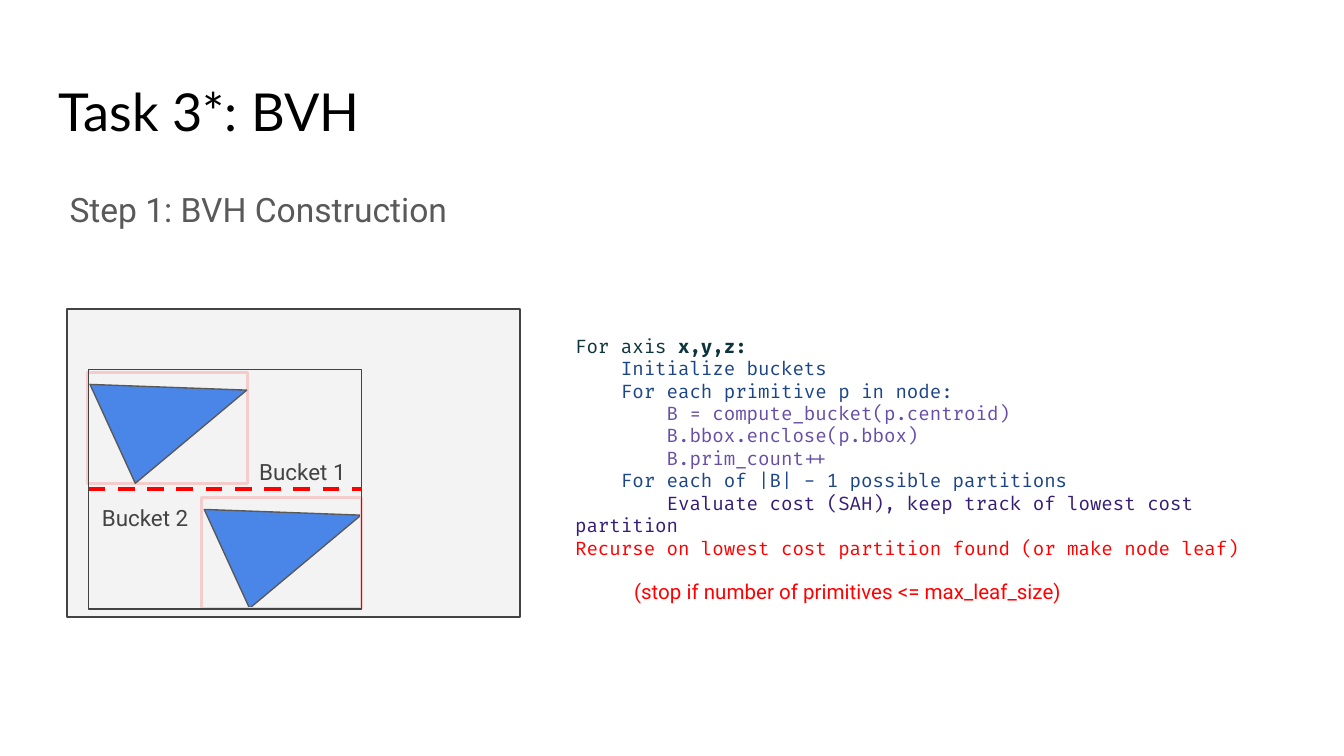
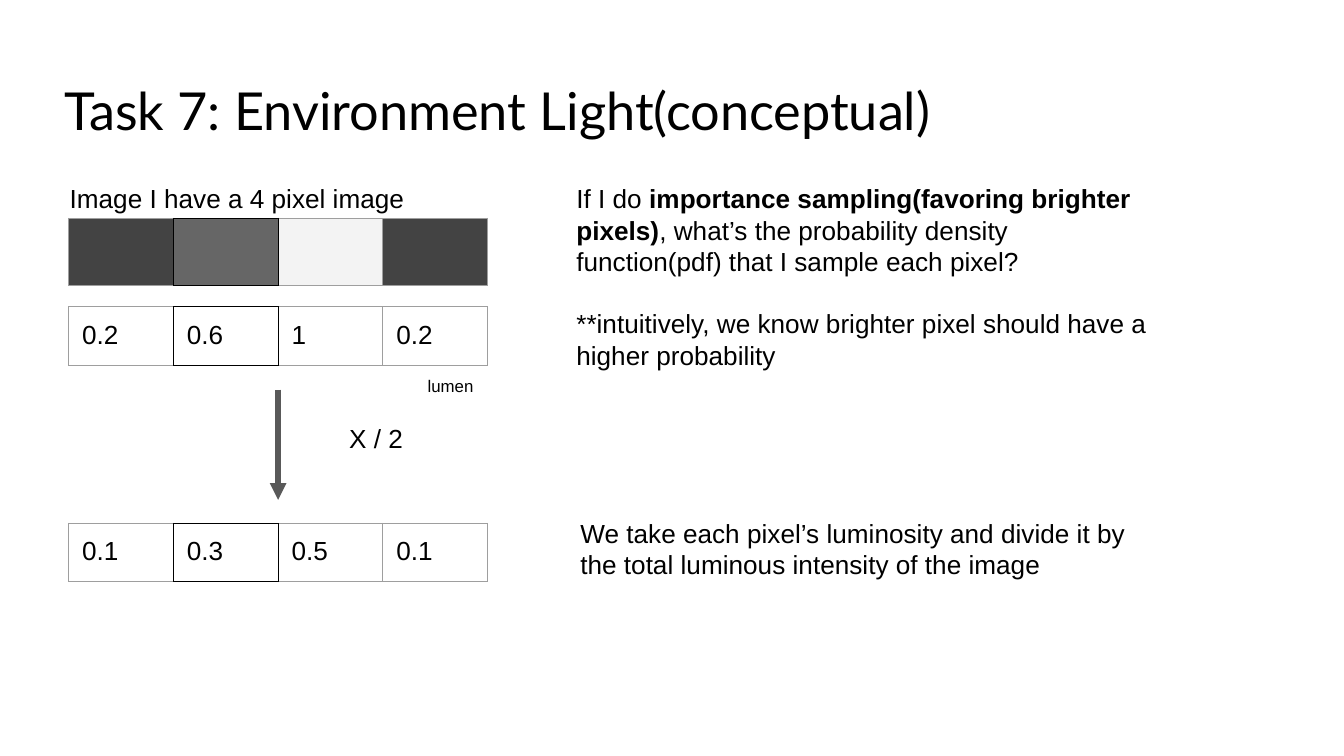
from lxml.etree import SubElement
from pptx import Presentation
from pptx.dml.color import RGBColor
from pptx.enum.dml import MSO_LINE_DASH_STYLE as DASH
from pptx.enum.shapes import MSO_CONNECTOR as CONNECTOR, MSO_SHAPE as SHAPE
from pptx.enum.text import PP_ALIGN as ALIGN
from pptx.oxml import parse_xml
from pptx.oxml.ns import nsdecls, qn
from pptx.util import Pt

BLACK = RGBColor(0, 0, 0)
WHITE = RGBColor(0xFF, 0xFF, 0xFF)
RED = RGBColor(0xFF, 0, 0)
PINK = RGBColor(0xF4, 0xCC, 0xCC)
CHARCOAL = RGBColor(0x43, 0x43, 0x43)
GRAY = RGBColor(0x59, 0x59, 0x59)
MID_GRAY = RGBColor(0x66, 0x66, 0x66)
GRID_GRAY = RGBColor(0x9E, 0x9E, 0x9E)
PALE_GRAY = RGBColor(0xF3, 0xF3, 0xF3)
SKY_BLUE = RGBColor(0x4A, 0x86, 0xE8)
TEAL = RGBColor(0x0C, 0x34, 0x3D)
NAVY = RGBColor(0x1C, 0x45, 0x87)
PURPLE = RGBColor(0x67, 0x4E, 0xA7)
INDIGO = RGBColor(0x35, 0x1C, 0x75)

TITLE_FONT, BODY_FONT, CODE_FONT, PLAIN_FONT = "Lato", "Roboto", "Fira Code", "Arial"
INSET = Pt(7.2)
COLUMN_WIDTH = 56.1
MARKED_COLUMN = 1

CODE = [
    (TEAL, ["For axis ", ("x,y,z:",)]),
    (NAVY, ["    Initialize buckets"]),
    (NAVY, ["    For each primitive p in node:"]),
    (PURPLE, ["        B = compute_bucket(p.centroid)"]),
    (PURPLE, ["        B.bbox.enclose(p.bbox)"]),
    (PURPLE, ["        B.prim_count++"]),
    (NAVY, ["    For each of |B| - 1 possible partitions"]),
    (INDIGO, ["        Evaluate cost (SAH), keep track of lowest cost partition"]),
    (RED, ["Recurse on lowest cost partition found (or make node leaf)"]),
]
QUESTION = [
    (BLACK, ["If I do ", ("importance sampling(favoring brighter pixels)",),
             ", what’s the probability density function(pdf) that I sample each pixel?"]),
    (BLACK, ["**intuitively, we know brighter pixel should have a higher probability"]),
]


def add_paragraphs(slide, box, paragraphs, size, font=PLAIN_FONT, gap=0, spacing=None, align=None):
    """Add a text box of (color, runs) paragraphs, where a run in a tuple is bold."""
    frame = slide.shapes.add_textbox(*map(Pt, box)).text_frame
    frame.word_wrap = True
    frame.margin_left = frame.margin_top = frame.margin_right = frame.margin_bottom = INSET
    for index, (color, runs) in enumerate(paragraphs):
        paragraph = frame.add_paragraph() if index else frame.paragraphs[0]
        if index and gap:
            paragraph.space_before = Pt(gap)
        paragraph.line_spacing = spacing
        paragraph.alignment = align
        style_paragraph(paragraph, size, font, color)
        for part in runs:
            run = paragraph.add_run()
            if isinstance(part, tuple):
                run.text, run.font.bold = part[0], True
            else:
                run.text = part


def style_paragraph(paragraph, size, font, color):
    """Set the font of a whole paragraph."""
    paragraph.font.size = Pt(size)
    paragraph.font.name = font
    paragraph.font.color.rgb = color


def add_text(slide, box, text, size, color=BLACK, **style):
    """Add a text box holding one plain paragraph."""
    add_paragraphs(slide, box, [(color, [text])], size, **style)


def add_title(slide, left, top, text):
    """Add the slide title."""
    add_text(slide, (left, top, 671, 45), text, 28, font=TITLE_FONT)


def add_outlined(slide, kind, box, line, width=0.75, fill=None):
    """Add a preset shape with an outline and an optional fill."""
    shape = slide.shapes.add_shape(kind, *map(Pt, box))
    shape.shadow.inherit = False
    shape.line.color.rgb = line
    shape.line.width = Pt(width)
    if fill is None:
        shape.fill.background()
    else:
        shape.fill.solid()
        shape.fill.fore_color.rgb = fill
    return shape


def add_triangle(slide, left, top):
    """Add one tilted primitive."""
    triangle = add_outlined(slide, SHAPE.ISOSCELES_TRIANGLE, (left, top, 77.8, 56.2), GRAY, fill=SKY_BLUE)
    triangle.adjustments[0] = 0.198
    triangle.rotation = 320.1


def add_line(slide, start, end, color, width):
    """Add a straight connector without a shadow."""
    line = slide.shapes.add_connector(CONNECTOR.STRAIGHT, *map(Pt, start + end))
    line.line.color.rgb = color
    line.line.width = Pt(width)
    SubElement(line._element.spPr, qn("a:effectLst"))
    return line


def set_borders(cell, colors):
    """Set the left, right, top and bottom borders of a cell."""
    properties = cell._tc.get_or_add_tcPr()
    for index, (side, color) in enumerate(zip("LRTB", colors)):
        border = parse_xml(
            f'<a:ln{side} {nsdecls("a")} w="{Pt(0.75)}"><a:solidFill>'
            f'<a:srgbClr val="{color}"/></a:solidFill></a:ln{side}>')
        properties.insert(index, border)


def add_pixel_row(slide, top, height, fills, values=("",) * 4):
    """Add a one-row table of pixels, with the marked column outlined in black."""
    count = len(fills)
    frame = slide.shapes.add_table(1, count, Pt(36.8), Pt(top), Pt(COLUMN_WIDTH * count), Pt(height))
    table = frame.table
    table.first_row = table.horz_banding = False
    for column, (fill, value) in enumerate(zip(fills, values)):
        table.columns[column].width = Pt(COLUMN_WIDTH)
        cell = table.cell(0, column)
        cell.margin_left = cell.margin_top = cell.margin_right = cell.margin_bottom = INSET
        cell.fill.solid()
        cell.fill.fore_color.rgb = fill
        marked = column == MARKED_COLUMN
        black_edges = (marked or column == MARKED_COLUMN + 1,
                       marked or column == MARKED_COLUMN - 1, marked, marked)
        set_borders(cell, [BLACK if black else GRID_GRAY for black in black_edges])
        if value:
            cell.text = value
            style_paragraph(cell.text_frame.paragraphs[0], 14, PLAIN_FONT, BLACK)


def build_bvh_slide(slide):
    """Build the slide on BVH construction."""
    add_title(slide, 24.5, 35.3, "Task 3*: BVH")
    add_paragraphs(slide, (301, 172, 404.6, 132), CODE, 10, font=CODE_FONT)
    add_outlined(slide, SHAPE.RECTANGLE, (36, 165.6, 242.6, 164.9), CHARCOAL, fill=PALE_GRAY)
    add_outlined(slide, SHAPE.RECTANGLE, (46.8, 199.4, 85.7, 59.8), PINK, 1.5)
    add_triangle(slide, 45.4, 184.3)
    add_triangle(slide, 106.6, 251.3)
    add_outlined(slide, SHAPE.RECTANGLE, (108, 266.4, 85.7, 59.8), PINK, 1.5)
    add_outlined(slide, SHAPE.RECTANGLE, (47.3, 198, 146.4, 128.2), CHARCOAL)
    split = add_line(slide, (47.5, 262), (193.7, 262), RED, 2.25)
    split.line.dash_style = DASH.DASH
    add_text(slide, (30.2, 90.7, 297.4, 45.4), "Step 1: BVH Construction", 18, GRAY,
             font=BODY_FONT, spacing=1.15)
    for number, left, top in ((1, 131.8, 236.2), (2, 47.5, 260.6)):
        add_text(slide, (left, top, 67.7, 27.4), f"Bucket {number}", 12, CHARCOAL,
                 font=BODY_FONT, spacing=1.15)
    add_text(slide, (332.6, 303.8, 291.6, 27.4), "(stop if number of primitives <= max_leaf_size)",
             11, RED, font=BODY_FONT)


def build_light_slide(slide):
    """Build the slide on environment light."""
    add_title(slide, 27.4, 34.6, "Task 7: Environment Light(conceptual)")
    add_pixel_row(slide, 117.1, 35, (CHARCOAL, MID_GRAY, PALE_GRAY, CHARCOAL))
    add_text(slide, (30.2, 90.7, 241.2, 31.7), "Image I have a 4 pixel image", 14)
    add_pixel_row(slide, 164.4, 31.2, (WHITE,) * 4, ("0.2", "0.6", "1", "0.2"))
    add_paragraphs(slide, (301.7, 90.7, 326.9, 116.6), QUESTION, 14, gap=16.5)
    add_text(slide, (303.8, 270, 322.6, 48.2),
             "We take each pixel’s luminosity and divide it by the total luminous intensity of the image", 14)
    add_pixel_row(slide, 280.4, 31.2, (WHITE,) * 4, ("0.1", "0.3", "0.5", "0.1"))
    arrow = add_line(slide, (149, 208.8), (149, 267.8), GRAY, 3)
    SubElement(arrow.line._get_or_add_ln(), qn("a:tailEnd"), type="triangle")
    add_text(slide, (180, 218.9, 80.6, 31.7), "X / 2", 14)
    add_text(slide, (200.2, 195.8, 60.5, 25.2), "lumen", 9, align=ALIGN.RIGHT)


def main():
    """Build and save the presentation."""
    presentation = Presentation()
    presentation.slide_width, presentation.slide_height = Pt(720), Pt(405)
    blank = presentation.slide_layouts[6]
    for build in (build_bvh_slide, build_light_slide):
        build(presentation.slides.add_slide(blank))
    presentation.save("out.pptx")


if __name__ == "__main__":
    main()
